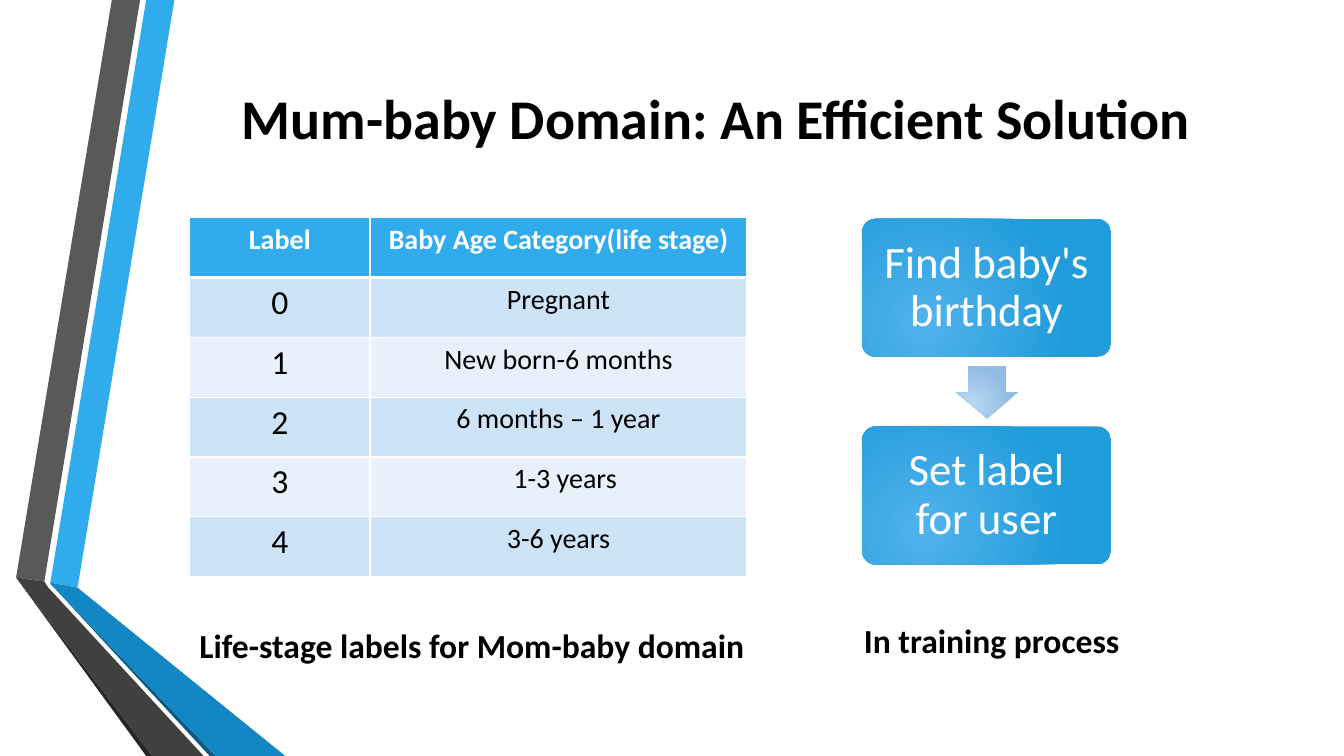
from lxml import etree
from pptx import Presentation
from pptx.dml.color import RGBColor
from pptx.enum.shapes import MSO_SHAPE
from pptx.enum.text import MSO_ANCHOR, PP_ALIGN
from pptx.oxml import parse_xml
from pptx.util import Pt

PX = 9144  # 100 px to the inch
LEFT, CENTER = PP_ALIGN.LEFT, PP_ALIGN.CENTER
TOP, MIDDLE = MSO_ANCHOR.TOP, MSO_ANCHOR.MIDDLE
ROUNDED, ARROW = MSO_SHAPE.ROUNDED_RECTANGLE, MSO_SHAPE.RIGHT_ARROW
DRAWING = "http://schemas.openxmlformats.org/drawingml/2006/main"


def write(frame, text, size, color="000000", bold=False, align=LEFT, spacing=1.0):
    frame.word_wrap = True
    para = frame.paragraphs[0]
    para.alignment = align
    para.line_spacing = spacing
    span = para.add_run()
    span.text = text
    span.font.name = "Calibri"
    span.font.size = Pt(size)
    span.font.bold = bold
    span.font.color.rgb = RGBColor.from_string(color)


def add_glowing_shape(kind, box, adjustments, colors):
    """Add a preset shape with a circular gradient centred on its lower edge."""
    shape = page.shapes.add_shape(kind, *[n * PX for n in box])
    for index, value in enumerate(adjustments):
        shape.adjustments[index] = value
    shape.shadow.inherit = False
    shape.line.fill.background()
    shape.fill.gradient()
    for stop, color in zip(shape.fill.gradient_stops, colors):
        stop.color.rgb = RGBColor.from_string(color)
    linear = shape.element.spPr.find(f".//{{{DRAWING}}}lin")
    linear.getparent().replace(linear, parse_xml(
        f'<a:path xmlns:a="{DRAWING}" path="circle">'
        '<a:fillToRect l="50000" t="100000" r="100000" b="50000"/></a:path>'))
    return shape


deck = Presentation()
deck.slide_width, deck.slide_height = 1333 * PX, 750 * PX
page = deck.slides.add_slide(deck.slide_layouts[6])

# Folded ribbons on the left
ribbons = [
    ("30ACEC", [(50, 578), (77, 583), (173, 0), (145, 0)]),
    ("595959", [(139, 0), (111, 0), (16, 573), (44, 577)]),
    ("262626", [(16, 573), (145, 750), (151, 750)]),
    ("0C5A82", [(50, 579), (208, 750), (214, 750)]),
    ("1287C3", [(50, 578), (50, 579), (214, 750), (283, 750), (77, 583)]),
    ("404040", [(202, 750), (48, 583), (44, 577), (16, 573), (151, 750)]),
]
for color, points in ribbons:
    builder = page.shapes.build_freeform(*points[0], scale=PX)
    builder.add_line_segments(points[1:], close=True)
    ribbon = builder.convert_to_shape()
    ribbon.shadow.inherit = False
    ribbon.fill.solid()
    ribbon.fill.fore_color.rgb = RGBColor.from_string(color)
    ribbon.line.fill.background()

# Title and captions
labels = [
    ("Mum-baby Domain: An Efficient Solution", (162, 61, 1096, 111), 40, CENTER, MIDDLE),
    ("Life-stage labels for Mom-baby domain", (188, 615, 591, 50), 24, LEFT, TOP),
    ("In training process", (847, 610, 286, 50), 24, LEFT, TOP),
]
for text, box, size, align, anchor in labels:
    label = page.shapes.add_textbox(*[n * PX for n in box])
    label.text_frame.vertical_anchor = anchor
    write(label.text_frame, text, size, bold=True, align=align)

# Life-stage table
stages = [
    ("Label", "Baby Age Category(life stage)"),
    ("0", "Pregnant"),
    ("1", "New born-6 months"),
    ("2", "6 months – 1 year"),
    ("3", "1-3 years"),
    ("4", "3-6 years"),
]
table = page.shapes.add_table(len(stages), 2, 188 * PX, 216 * PX, 553 * PX, 356 * PX).table
table.columns[0].width, table.columns[1].width = 179 * PX, 374 * PX
for row, texts in enumerate(stages):
    header = row == 0
    fill = "30ACEC" if header else ("E8F1FB", "CDE3F8")[row % 2]
    for column, text in enumerate(texts):
        cell = table.cell(row, column)
        cell.fill.solid()
        cell.fill.fore_color.rgb = RGBColor.from_string(fill)
        write(cell.text_frame, text, 20 if header or column else 24,
              color="FFFFFF" if header else "000000", bold=header, align=CENTER)
        properties = cell._tc.get_or_add_tcPr()
        for index, side in enumerate(("lnL", "lnR", "lnT", "lnB")):
            thick = (header and side == "lnB") or (row == 1 and side == "lnT")
            border = etree.fromstring(
                f'<a:{side} xmlns:a="{DRAWING}" w="{Pt(3 if thick else 1)}"><a:solidFill>'
                f'<a:srgbClr val="FFFFFF"/></a:solidFill></a:{side}>')
            properties.insert(index, border)
table.cell(4, 1).margin_left = 23 * PX

# Training steps, joined by an arrow
for top, text in ((217, "Find baby's birthday"), (423, "Set label for user")):
    step = add_glowing_shape(ROUNDED, (855, top, 247, 137), [0.1], ("51B3ED", "219CDB"))
    frame = step.text_frame
    frame.margin_left = frame.margin_right = 17 * PX
    frame.margin_top = frame.margin_bottom = 17 * PX
    frame.vertical_anchor = MIDDLE
    write(frame, text, 32, color="FFFFFF", align=CENTER, spacing=0.9)
arrow = add_glowing_shape(ARROW, (953, 358, 52, 62), [0.6, 0.5], ("B9D9F5", "92BBE2"))
arrow.rotation = 90

deck.save("out.pptx")
